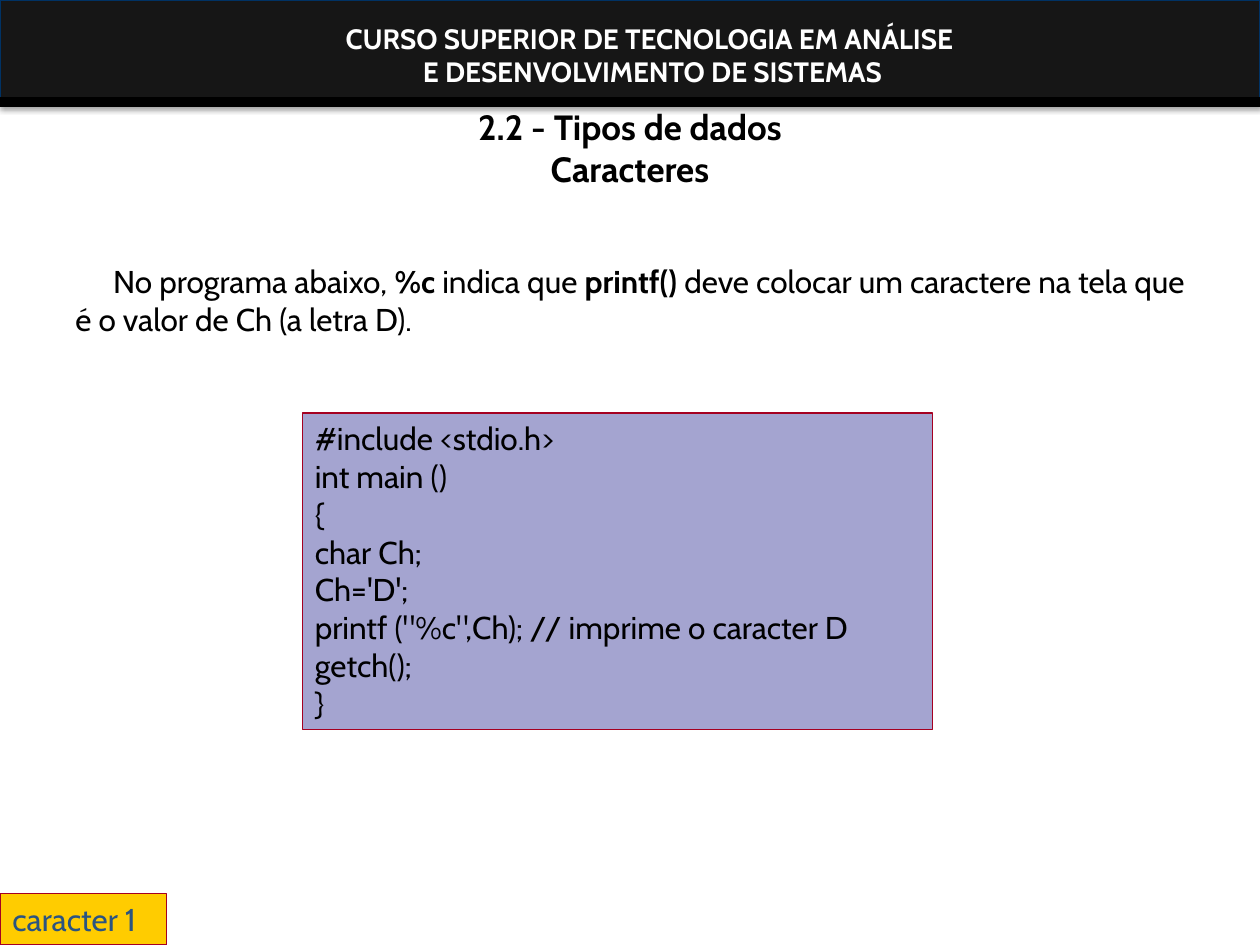
import pptx
import pptx.dml.color
import pptx.enum.shapes
import pptx.enum.text
import pptx.oxml
import pptx.oxml.ns
import pptx.util

Pt = pptx.util.Pt
RGB = pptx.dml.color.RGBColor
ALIGN = pptx.enum.text.PP_ALIGN
ANCHOR = pptx.enum.text.MSO_ANCHOR

BLACK = RGB(0x00, 0x00, 0x00)
WHITE = RGB(0xFF, 0xFF, 0xFF)
BAND = RGB(0x16, 0x16, 0x16)
NAVY = RGB(0x00, 0x32, 0x64)
LILAC = RGB(0xA4, 0xA4, 0xD0)
CRIMSON = RGB(0xA5, 0x00, 0x21)
YELLOW = RGB(0xFF, 0xCC, 0x00)
STEEL = RGB(0x2B, 0x54, 0x81)

FONT = "Cabin"
WIDTH, HEIGHT = 720, 540

HEADER = ["CURSO SUPERIOR DE TECNOLOGIA EM ANÁLISE ",
          "E DESENVOLVIMENTO DE SISTEMAS"]
TITLE = "2.2 - Tipos de dados\vCaracteres"
BODY = [("No programa abaixo, ", False), ("%c ", True),
        ("indica que ", False), ("printf() ", True),
        ("deve colocar um caractere na tela que é o valor de Ch (a letra D).", False)]
CODE = ["#include <stdio.h>",
        "int main ()",
        "{",
        "char Ch;",
        "Ch='D';",
        "printf (\"%c\",Ch); // imprime o caracter D",
        "getch();",
        "}"]


def write(sp, paragraphs, size=18, color=BLACK, bold=False, align=ALIGN.LEFT,
          anchor=ANCHOR.TOP, wrap=True):
    """Fill sp; a paragraph is a string or a list of (text, bold) runs."""
    tf = sp.text_frame
    tf.auto_size = pptx.enum.text.MSO_AUTO_SIZE.NONE
    tf.word_wrap = wrap
    tf.vertical_anchor = anchor
    for i, content in enumerate(paragraphs):
        p = tf.paragraphs[0] if i == 0 else tf.add_paragraph()
        p.alignment = align
        runs = [(content, bold)] if isinstance(content, str) else content
        for text, run_bold in runs:
            for j, line in enumerate(text.split("\v")):
                if j:
                    p.add_line_break()
                r = p.add_run()
                r.text = line
                r.font.name = FONT
                r.font.size = Pt(size)
                r.font.bold = run_bold
                r.font.color.rgb = color
    return tf


def add_box(s, left, top, width, height, fill, line):
    sp = s.shapes.add_shape(pptx.enum.shapes.MSO_SHAPE.RECTANGLE,
                            Pt(left), Pt(top), Pt(width), Pt(height))
    sp.shadow.inherit = False
    sp.fill.solid()
    sp.fill.fore_color.rgb = fill
    sp.line.color.rgb = line
    sp.line.width = Pt(0.75)
    return sp


def add_text(s, left, top, width, height, paragraphs, **fmt):
    sp = s.shapes.add_textbox(Pt(left), Pt(top), Pt(width), Pt(height))
    return write(sp, paragraphs, **fmt)


def add_rule(s, y, weight):
    rule = s.shapes.add_connector(pptx.enum.shapes.MSO_CONNECTOR.STRAIGHT,
                                  Pt(0), Pt(y), Pt(WIDTH), Pt(y))
    rule.line.color.rgb = BLACK
    rule.line.width = Pt(weight)
    rule._element.spPr.append(pptx.oxml.parse_xml(
        f'<a:effectLst {pptx.oxml.ns.nsdecls("a")}/>'))


def drop_shadow(sp, blur, distance, opacity):
    """Cast a black shadow straight down; opacity is in percent."""
    effects = sp._element.spPr.find(pptx.oxml.ns.qn("a:effectLst"))
    effects.append(pptx.oxml.parse_xml(
        f'<a:outerShdw {pptx.oxml.ns.nsdecls("a")} blurRad="{Pt(blur)}" '
        f'dist="{Pt(distance)}" dir="5400000" rotWithShape="0">'
        f'<a:srgbClr val="{BLACK}"><a:alpha val="{opacity * 1000}"/></a:srgbClr>'
        '</a:outerShdw>'))


def add_header(s):
    band = add_box(s, 0, 0, WIDTH, 60.5, BAND, NAVY)
    drop_shadow(band, 3.1, 1.8, 35)
    add_text(s, 93.6, 8.6, 558.7, 46, HEADER, size=16, color=WHITE,
             bold=True, align=ALIGN.CENTER)
    add_rule(s, 58.3, 6)


def set_title(s):
    title = s.shapes.title
    title.left, title.top = Pt(36), Pt(30.2)
    title.width, title.height = Pt(648), Pt(108)
    write(title, [TITLE], size=20, bold=True, align=ALIGN.CENTER,
          anchor=ANCHOR.MIDDLE)


def add_body(s):
    tf = add_text(s, 36, 111.6, 648, 362.9, [BODY], align=ALIGN.JUSTIFY)
    tf.margin_top = Pt(38)
    tf.paragraphs[0]._p.get_or_add_pPr().set("indent", str(Pt(21.6)))


def main():
    prs = pptx.Presentation()
    prs.slide_width, prs.slide_height = Pt(WIDTH), Pt(HEIGHT)
    s = prs.slides.add_slide(prs.slide_layouts[5])
    add_header(s)
    set_title(s)
    add_body(s)
    write(add_box(s, 172.8, 236, 360, 181, LILAC, CRIMSON), CODE)
    write(add_box(s, 0, 510.5, 95, 29.5, YELLOW, CRIMSON), ["caracter 1"],
          color=STEEL, anchor=ANCHOR.MIDDLE, wrap=False)
    prs.save("out.pptx")


if __name__ == "__main__":
    main()
